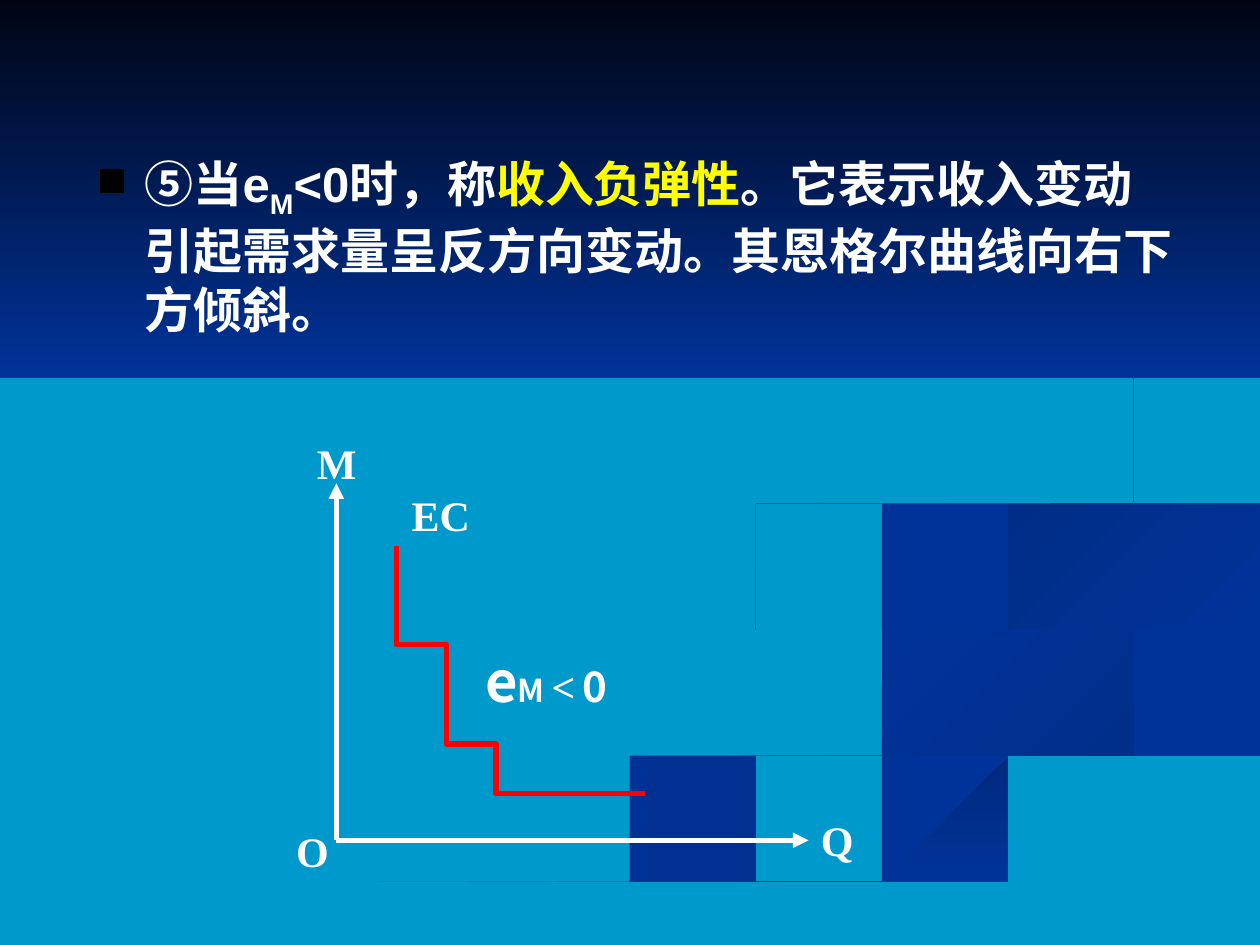
import math

import pptx
import pptx.dml.color
import pptx.enum.shapes
import pptx.oxml
import pptx.oxml.ns
import pptx.util
from pptx.util import Cm, Pt

HEX = {
    "lake": "0099CC", "blue": "003399", "shade": "002E8B", "deep": "002A7D",
    "dim": "002D86", "dusk": "002B82", "night": "000514", "white": "FFFFFF",
    "yellow": "FFFF00", "red": "FF0000", "black": "000000",
}
SERIF, SANS, CJK = "Times New Roman", "Arial", "Noto Sans CJK SC"


def smooth(knots, steps=6):
    """Return points of a Catmull-Rom curve through the knots."""
    ends = [knots[0], *knots, knots[-1]]
    points = [knots[0]]
    for a, b, c, d in zip(ends, ends[1:], ends[2:], ends[3:]):
        for step in range(1, steps + 1):
            t = step / steps
            points.append(tuple(
                b[k] + t * (c[k] - a[k]) / 2
                + t ** 2 * (2 * a[k] - 5 * b[k] + 4 * c[k] - d[k]) / 2
                + t ** 3 * (3 * b[k] - a[k] - 3 * c[k] + d[k]) / 2
                for k in (0, 1)))
    return points


def add_text(left, top, width, height, runs):
    """Add a bold text box; each run is (text, size, font, colour)."""
    box = slide.shapes.add_textbox(Cm(left), Cm(top), Cm(width), Cm(height))
    box.text_frame.word_wrap = True
    para = box.text_frame.paragraphs[0]
    for text, size, face, tint in runs:
        run = para.add_run()
        run.text = text
        run.font.size, run.font.name, run.font.bold = Pt(size), face, True
        run.font.color.rgb = pptx.dml.color.RGBColor.from_string(HEX[tint])
    return para


rgb = pptx.dml.color.RGBColor.from_string
deck = pptx.Presentation()
deck.slide_width, deck.slide_height = Cm(25.4), Cm(19.05)
slide = deck.slides.add_slide(deck.slide_layouts[6])
slide.background.fill.solid()
slide.background.fill.fore_color.rgb = rgb(HEX["lake"])

# Edges of the rivers, in units of 2.54 cm; neighbours share an edge
outer = [(9.99, 3.87), (8.74, 4.08), (7.7, 4.27), (7.25, 4.64), (7.59, 4.98), (8.51, 5.24),
         (9.2, 5.47), (9.43, 5.72), (8.92, 6.05), (7.43, 6.43), (6.19, 6.84), (4.77, 7.49)]
shore = [(5.03, 7.49), (5.99, 7.06), (6.96, 6.69), (8.32, 6.29), (9.99, 5.81)]
bend = [(9.99, 5.38), (9.04, 5.19), (8.17, 4.92), (7.81, 4.63), (8.11, 4.37),
        (8.99, 4.18), (9.99, 4.02)]
south = [(9.98, 6.09), (8.61, 6.4), (7.22, 6.82), (6.3, 7.19), (5.71, 7.49)]
fold = [(8.94, 6.05), (9.18, 5.81), (8.92, 5.53), (8.38, 5.36), (7.66, 5.12), (7.24, 4.64)]
lip = [(9.98, 4.2), (8.96, 4.35), (8.28, 4.53), (8.05, 4.74), (8.26, 4.96)]
east = [(5.75, 4.59), (5.76, 4.73), (6.02, 4.9), (6.42, 5.07), (7.15, 5.28), (7.81, 5.53),
        (8, 5.81), (7.69, 6.09), (6.51, 6.4), (4.99, 6.87), (3.61, 7.49)]
west = [(3, 7.49), (4.17, 6.9), (5.39, 6.49), (6.99, 6.09), (7.67, 5.87), (7.86, 5.66),
        (7.62, 5.47), (6.97, 5.25), (6.11, 4.99), (5.7, 4.7), (5.75, 4.59)]
near = [(7.62, 2.33), (8.46, 2.79), (8.82, 3.13), (8.89, 3.35), (8.7, 3.65), (8.18, 3.86),
        (7.04, 4.09), (6.05, 4.33), (5.77, 4.62), (6.22, 5)]
far = [(6.22, 5), (5.93, 4.7), (6.14, 4.48), (6.83, 4.3), (8.07, 4.07), (8.76, 3.78),
       (8.94, 3.44), (8.73, 2.99), (8.21, 2.61), (7.62, 2.33)]

# Each area: its edges in order, its colours and its clockwise angle
for edges, tints, angle in [
    ((east, west), ("blue", "shade"), 0),
    ((outer[3:9], fold), ("blue", "shade"), 45),
    ((shore, south), ("deep", "blue"), 90),
    ((outer, shore, bend), ("blue", "blue"), 0),
    ((bend[2:], lip), ("dim", "blue"), 45),
    ((near, far), ("dusk", "blue"), 45),
    (([(0, 0), (10, 0)], [(10, 3.08), (0, 3.08)]), ("night", "blue"), 90),
]:
    points = [point for edge in edges for point in smooth(edge)]
    path = slide.shapes.build_freeform(*points[0], scale=Cm(2.54))
    path.add_line_segments(points[1:], close=True)
    shape = path.convert_to_shape()
    shape.shadow.inherit = False
    shape.line.fill.background()
    if tints[0] == tints[1]:
        shape.fill.solid()
        shape.fill.fore_color.rgb = rgb(HEX[tints[0]])
        continue
    shape.fill.gradient()
    shape.fill.gradient_angle = (360 - angle) % 360
    for stop, tint in zip(shape.fill.gradient_stops, tints):
        stop.color.rgb = rgb(HEX[tint])

# Statement with a square bullet
para = add_text(1.7, 2.97, 22.23, 4.24, [
    ("⑤当e", 28, SANS, "white"), ("M", 28, SANS, "white"),
    ("<0时，称", 28, SANS, "white"), ("收入负弹性", 28, SANS, "yellow"),
    ("。它表示收入变动引起需求量呈反方向变动。其恩格尔曲线向右下方倾斜。", 28, SANS, "white"),
])
para.runs[1].font._element.set("baseline", "-25000")
props = para._p.get_or_add_pPr()
props.set("marL", str(Cm(0.97)))
props.set("indent", str(-Cm(0.97)))
ns = pptx.oxml.ns.nsdecls("a")
for xml in (
    f'<a:buClr {ns}><a:srgbClr val="{HEX["black"]}"/></a:buClr>',
    f'<a:buSzPct {ns} val="85000"/>',
    f'<a:buChar {ns} char="■"/>',
):
    props.append(pptx.oxml.parse_xml(xml))

# Axes from the origin
left, base = 6.78, 16.94
for right, top in [(16.3, base), (left, 9.74)]:
    axis = slide.shapes.add_connector(
        pptx.enum.shapes.MSO_CONNECTOR.STRAIGHT, Cm(left), Cm(base), Cm(right), Cm(top))
    axis.line.color.rgb = rgb(HEX["white"])
    axis.line.width = Pt(3)
    axis.line._get_or_add_ln().append(pptx.oxml.parse_xml(f'<a:tailEnd {ns} type="triangle"/>'))
    axis._element.spPr.append(pptx.oxml.parse_xml(f"<a:effectLst {ns}/>"))

# Engel curve: the lower left quarter of an ellipse
arc = [(13.25 - 5.32 * math.cos(math.radians(deg)), 10.9 + 5.49 * math.sin(math.radians(deg)))
       for deg in range(0, 91, 3)]
path = slide.shapes.build_freeform(*arc[0], scale=Cm(1))
path.add_line_segments(arc[1:], close=False)
curve = path.convert_to_shape()
curve.shadow.inherit = False
curve.fill.background()
curve.line.color.rgb = rgb(HEX["red"])
curve.line.width = Pt(3)

for text, x, y, width in [
    ("M", 6.14, 8.69, 1.7), ("EC", 8.05, 9.74, 3.6),
    ("O", 5.72, 16.51, 1.7), ("Q", 16.3, 16.3, 2.33),
]:
    add_text(x, y, width, 1.27, [(text, 24, SERIF, "white")])
add_text(9.53, 12.91, 4.45, 1.63, [
    ("e", 32, CJK, "white"), ("M ", 18, CJK, "white"), ("<", 24, SERIF, "white"),
    (" ", 18, CJK, "white"), ("0", 24, CJK, "white"),
])

deck.save("out.pptx")
